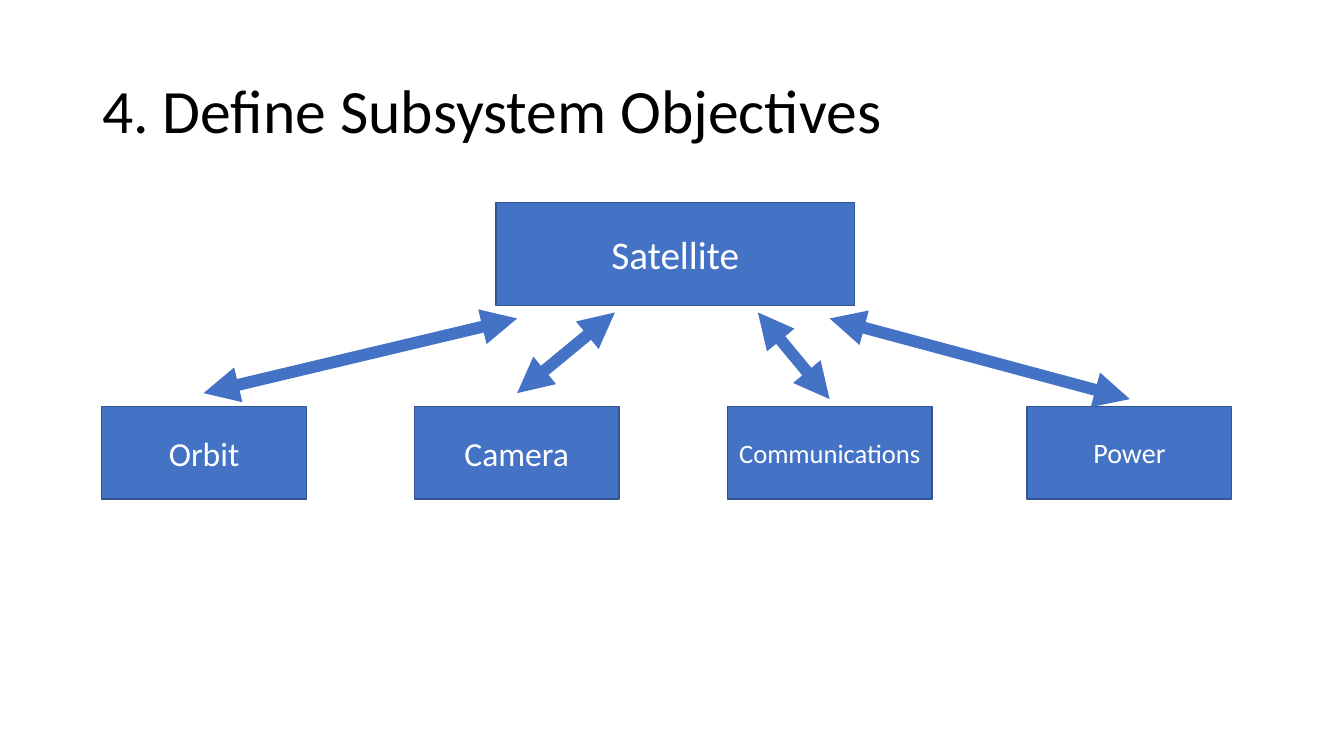
from lxml import etree
from pptx import Presentation
from pptx import util as u
from pptx.dml import color
from pptx.enum import shapes, text
from pptx.oxml import ns

Pt = u.Pt


def paint(hue):
    return color.RGBColor.from_string(hue)


def write(box, words, look):
    frame = box.text_frame
    frame.word_wrap = True
    frame.vertical_anchor = text.MSO_ANCHOR.MIDDLE
    para = frame.paragraphs[0]
    para.alignment = look["align"]
    para.line_spacing = look["space"]
    run = para.add_run()
    run.text = words
    for key, val in {"name": "Calibri", "size": Pt(look["size"])}.items():
        setattr(run.font, key, val)
    run.font.color.rgb = paint(look["hue"])


deck = Presentation()
for key, val in {"slide_width": Pt(960), "slide_height": Pt(540)}.items():
    setattr(deck, key, val)
slide = deck.slides.add_slide(deck.slide_layouts[6])

title = slide.shapes.add_textbox(Pt(66), Pt(28.8), Pt(828), Pt(104.4))
write(title, "4. Define Subsystem Objectives",
      {"align": text.PP_ALIGN.LEFT, "space": 0.9, "size": 44, "hue": "000000"})

top = (354.2, 144.7, 256.3, 73.4)
row = [("Orbit", 72.7, 24), ("Camera", 296, 24),
       ("Communications", 519.6, 19), ("Power", 733.7, 20)]
boxes = [("Satellite", top, 28)]
boxes += [(name, (left, 290.2, 146.2, 66.2), size) for name, left, size in row]

for name, place, size in boxes:
    box = slide.shapes.add_shape(shapes.MSO_SHAPE.RECTANGLE, *map(Pt, place))
    box.shadow.inherit = False
    box.fill.solid()
    box.fill.fore_color.rgb = paint("4472C4")
    box.line.color.rgb = paint("325491")
    box.line.width = Pt(1)
    write(box, name, {"align": text.PP_ALIGN.CENTER, "space": 1,
                      "size": size, "hue": "FFFFFF"})

links = [(369.4, 227.5, 145.4, 280.8), (439.2, 223.2, 369.4, 280.8),
         (541.4, 223.2, 592.6, 285.1), (592.6, 227.5, 807.1, 285.1)]
for ends in links:
    link = slide.shapes.add_connector(shapes.MSO_CONNECTOR.STRAIGHT, *map(Pt, ends))
    link.line.color.rgb = paint("4472C4")
    link.line.width = Pt(8.5)
    stroke = link.line._get_or_add_ln()
    for tip in ("a:headEnd", "a:tailEnd"):
        etree.SubElement(stroke, ns.qn(tip), type="triangle")
    etree.SubElement(link._element.spPr, ns.qn("a:effectLst"))

deck.save("out.pptx")
